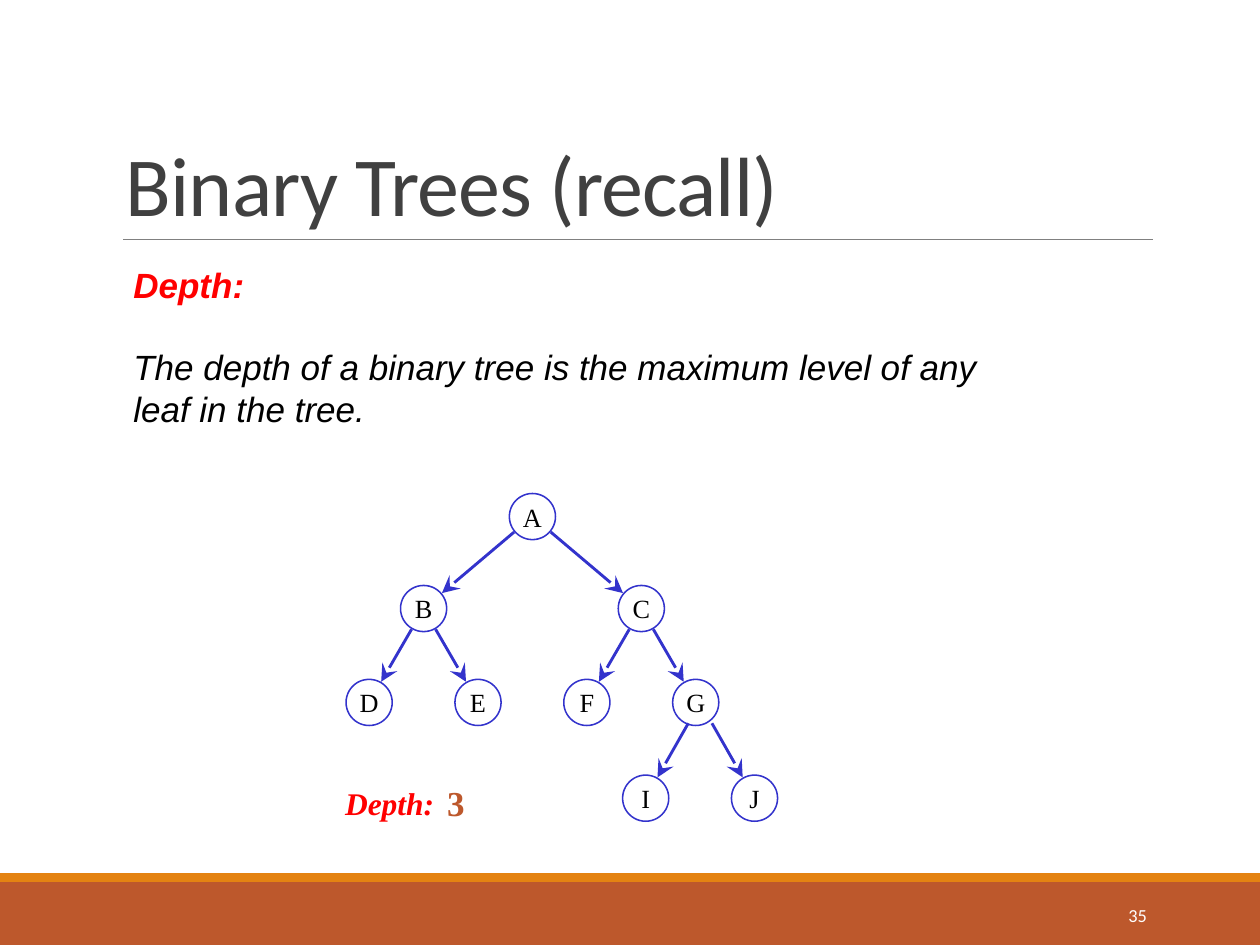
import math
from dataclasses import dataclass

from lxml import etree
from pptx import Presentation
from pptx import util as u
from pptx.dml.color import RGBColor
from pptx.enum import shapes, text
from pptx.oxml.ns import qn


@dataclass(frozen=True)
class Theme:
    band: str = "BD582C"
    stripe: str = "E48312"
    rule: str = "808080"
    heading: str = "404040"
    accent: str = "FF0000"
    ink: str = "000000"
    light: str = "FFFFFF"
    tree: str = "3333CC"
    sans: str = "Calibri"
    body: str = "Arial"
    serif: str = "Times New Roman"
    title_size: float = 48
    body_size: float = 20
    label_size: float = 18
    node_size: float = 15
    number_size: float = 10.5


THEME = Theme()
COLUMNS, ROWS = 100, 75
RADIUS = 1.83
ARROW_GAP = 1.9
LEVELS = (41, 48.3, 55.75, 63.35)
LEFT_LEAF, NODE_STEP = 29.3, 4.32
NODES = {
    "A": (3, 0),
    "B": (1, 1), "C": (5, 1),
    "D": (0, 2), "E": (2, 2), "F": (4, 2), "G": (6, 2),
    "I": (5.08, 3), "J": (7.08, 3),
}
CHILDREN = {"A": "BC", "B": "DE", "C": "FG", "G": "IJ"}


def grid(*cells):
    return [u.Inches(cell / 10) for cell in cells]


def color(value):
    return RGBColor.from_string(value)


def write(frame, content, size, font, ink, bold=False, italic=False,
          align=text.PP_ALIGN.LEFT, anchor=text.MSO_ANCHOR.TOP,
          wrap=True, spacing=None, tracking=None):
    frame.word_wrap = wrap
    frame.vertical_anchor = anchor
    for index, line in enumerate(content.split("\n")):
        para = frame.paragraphs[0] if index == 0 else frame.add_paragraph()
        para.alignment = align
        para.line_spacing = spacing
        span = para.add_run()
        span.text = line
        span.font.size = u.Pt(size)
        span.font.name = font
        span.font.bold = bold
        span.font.italic = italic
        span.font.color.rgb = color(ink)
        if tracking is not None:
            span.font._element.set("spc", str(round(tracking * 100)))


def add_text(page, place, content, **style):
    box = page.shapes.add_textbox(*grid(*place))
    write(box.text_frame, content, **style)


def add_band(page, place, fill):
    band = page.shapes.add_shape(shapes.MSO_SHAPE.RECTANGLE, *grid(*place))
    band.shadow.inherit = False
    band.fill.solid()
    band.fill.fore_color.rgb = color(fill)
    band.line.fill.background()


def add_line(page, start, end, ink, width, arrow=False):
    line = page.shapes.add_connector(
        shapes.MSO_CONNECTOR.STRAIGHT, *grid(*start, *end))
    line.line.color.rgb = color(ink)
    line.line.width = u.Pt(width)
    if arrow:
        etree.SubElement(line.line._get_or_add_ln(), qn("a:tailEnd"),
                         type="stealth", w="lg", len="lg")
    etree.SubElement(line._element.spPr, qn("a:effectLst"))


def center(name):
    column, level = NODES[name]
    return LEFT_LEAF + NODE_STEP * column, LEVELS[level]


def add_node(page, name):
    x, y = center(name)
    node = page.shapes.add_shape(
        shapes.MSO_SHAPE.OVAL,
        *grid(x - RADIUS, y - RADIUS, 2 * RADIUS, 2 * RADIUS))
    node.shadow.inherit = False
    node.fill.background()
    node.line.color.rgb = color(THEME.tree)
    node.line.width = u.Pt(0.88)
    frame = node.text_frame
    frame.margin_left = frame.margin_right = 0
    frame.margin_top = frame.margin_bottom = 0
    write(frame, name, size=THEME.node_size, font=THEME.serif, ink=THEME.ink,
          align=text.PP_ALIGN.CENTER, anchor=text.MSO_ANCHOR.MIDDLE, wrap=False)


def add_branches(page, parent, children):
    ends = [center(child) for child in children]
    x = sum(end[0] for end in ends) / len(ends)
    y = center(parent)[1]
    for end_x, end_y in ends:
        reach = math.dist((x, y), (end_x, end_y))
        dx = (end_x - x) / reach * ARROW_GAP
        dy = (end_y - y) / reach * ARROW_GAP
        add_line(page, (x + dx, y + dy), (end_x - dx, end_y - dy),
                 THEME.tree, 1.63, arrow=True)


def add_frame(page):
    add_band(page, (0, 70, COLUMNS, 5), THEME.band)
    add_band(page, (0, 69.3, COLUMNS, 0.7), THEME.stripe)
    add_line(page, (9.8, 19), (91.5, 19), THEME.rule, 0.5)
    add_text(page, (9, 3.1, 82.5, 15.9), "Binary Trees (recall)",
             size=THEME.title_size, font=THEME.sans, ink=THEME.heading,
             anchor=text.MSO_ANCHOR.BOTTOM, spacing=0.85, tracking=-0.5)
    add_text(page, (81.2, 70.6, 10.8, 4), "35", size=THEME.number_size,
             font=THEME.sans, ink=THEME.light, align=text.PP_ALIGN.RIGHT,
             anchor=text.MSO_ANCHOR.MIDDLE)


def add_definition(page):
    add_text(page, (9.6, 20.4, 12.7, 5), "Depth:", size=THEME.body_size,
             font=THEME.body, ink=THEME.accent, bold=True, italic=True,
             wrap=False)
    add_text(page, (9.6, 26.9, 77.7, 7.7),
             "The depth of a binary tree is the maximum level of any\n"
             "leaf in the tree.",
             size=THEME.body_size, font=THEME.body, ink=THEME.ink, italic=True)


def add_tree(page):
    for parent, children in CHILDREN.items():
        add_branches(page, parent, children)
    for name in NODES:
        add_node(page, name)


def add_answer(page):
    add_text(page, (26.4, 61.7, 9.1, 4), "Depth:", size=THEME.label_size,
             font=THEME.serif, ink=THEME.accent, bold=True, italic=True,
             wrap=False)
    add_text(page, (34.5, 61.5, 3.7, 5), "3", size=THEME.body_size,
             font=THEME.serif, ink=THEME.band, bold=True, wrap=False)


def main():
    deck = Presentation()
    deck.slide_width, deck.slide_height = grid(COLUMNS, ROWS)
    page = deck.slides.add_slide(deck.slide_layouts[6])
    add_frame(page)
    add_definition(page)
    add_tree(page)
    add_answer(page)
    deck.save("out.pptx")


if __name__ == "__main__":
    main()
